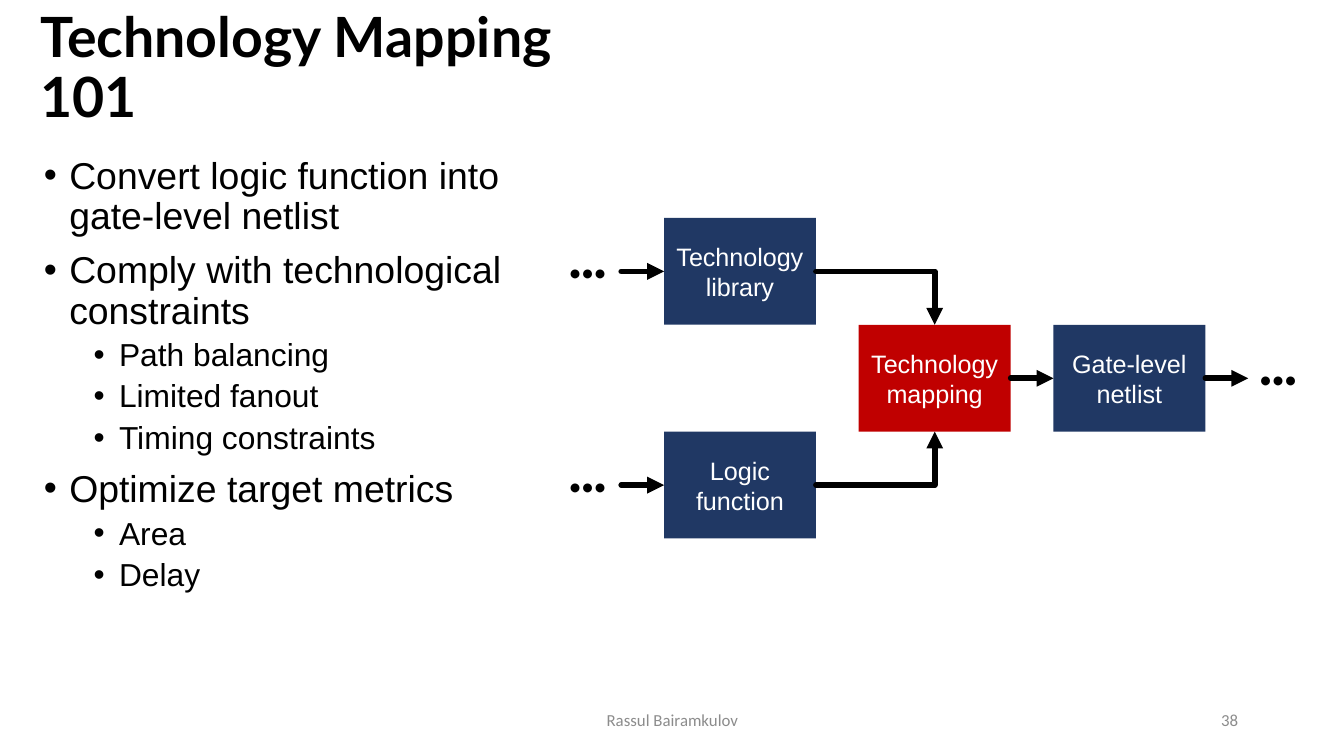
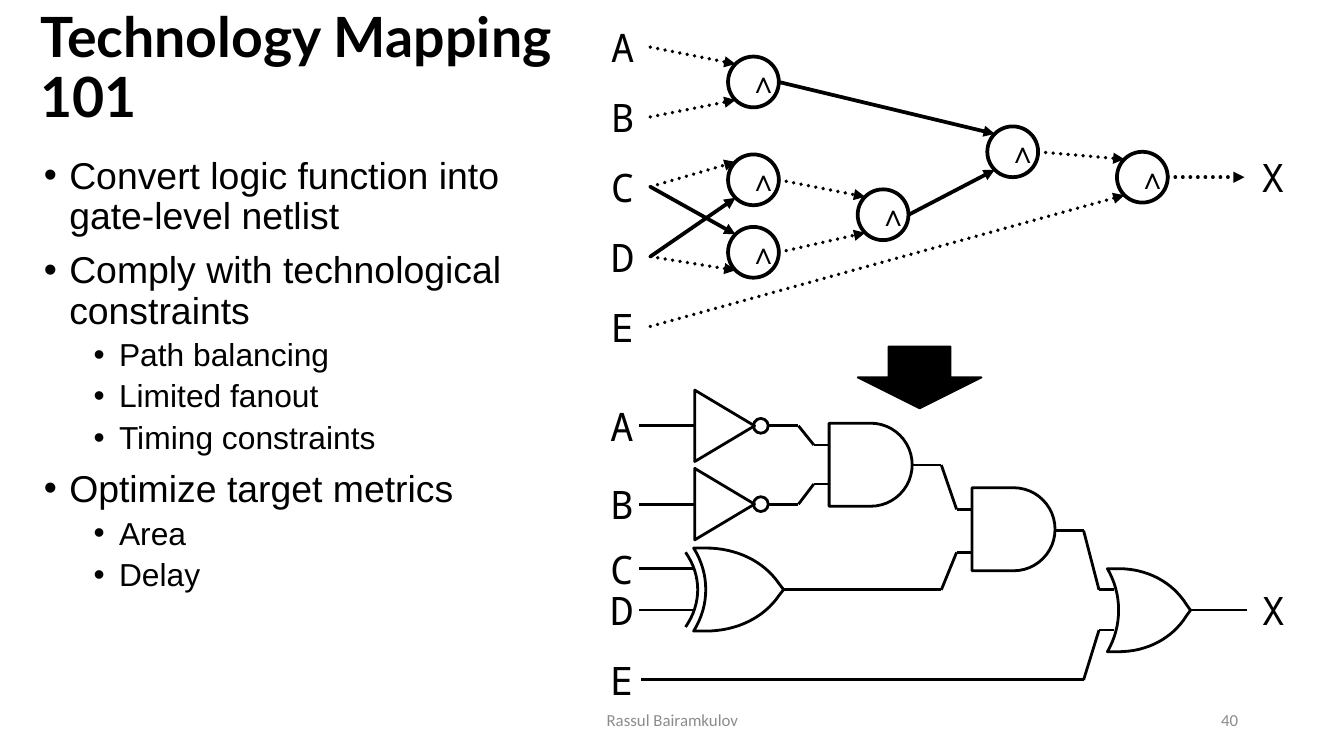
from itertools import pairwise

from lxml.etree import SubElement
from pptx import Presentation
from pptx.dml.color import RGBColor
from pptx.enum.dml import MSO_LINE
from pptx.enum.shapes import MSO_CONNECTOR as CONNECTOR, MSO_SHAPE as SHAPE
from pptx.enum.text import MSO_ANCHOR as ANCHOR, MSO_AUTO_SIZE as AUTO_SIZE, PP_ALIGN as ALIGN
from pptx.oxml.ns import qn
from pptx.util import Cm, Pt

BLACK, WHITE, GREY = "000000", "FFFFFF", "8C8C8C"
NAVY, RED = "203864", "C00000"
MONO = "Noto Sans Mono"
TOP, LEFT, BOTTOM, RIGHT = range(4)

BULLETS = [
    (0, "Convert logic function into gate-level netlist"),
    (0, "Comply with technological constraints"),
    (1, "Path balancing"),
    (1, "Limited fanout"),
    (1, "Timing constraints"),
    (0, "Optimize target metrics"),
    (1, "Area"),
    (1, "Delay"),
]
BULLET_STYLES = [(0.48, 20, 7.5), (1.42, 17, 3.8)]

AND_NODES = [
    ("A and B", 0, 0.84, ("A", True), ("B", True)),
    ("C and D", 0, 2.69, ("C", True), ("D", False)),
    ("C nor D", 0, 4.06, ("C", False), ("D", True)),
    ("C xor D", 1, 3.35, ("C and D", True), ("C nor D", True)),
    ("join", 2, 2.16, ("A and B", False), ("C xor D", False)),
    ("root", 3, 2.64, ("join", True), ("E", True)),
]


def colour(value):
    return RGBColor.from_string(value)


def place(shape, left, top, width, height):
    shape.left, shape.top = Cm(left), Cm(top)
    shape.width, shape.height = Cm(width), Cm(height)


def style_text(frame, text, font, size, text_colour=BLACK, align=ALIGN.CENTER, bold=False):
    frame.text = text
    for paragraph in frame.paragraphs:
        paragraph.alignment = align
        paragraph.font.name = font
        paragraph.font.size = Pt(size)
        paragraph.font.bold = bold
        paragraph.font.color.rgb = colour(text_colour)


def no_insets(frame):
    frame.margin_left = frame.margin_right = frame.margin_top = frame.margin_bottom = 0


def add_label(slide, box, text, font, size, text_colour=BLACK, align=ALIGN.CENTER, wrap=False):
    frame = slide.shapes.add_textbox(*map(Cm, box)).text_frame
    frame.word_wrap = wrap
    frame.vertical_anchor = ANCHOR.MIDDLE
    style_text(frame, text, font, size, text_colour, align)
    return frame


def paint(shape, fill=None, width=None):
    shape.shadow.inherit = False
    if fill:
        shape.fill.solid()
        shape.fill.fore_color.rgb = colour(fill)
    else:
        shape.fill.background()
    if width:
        shape.line.color.rgb = colour(BLACK)
        shape.line.width = Pt(width)
    else:
        shape.line.fill.background()


def add_figure(slide, kind, box, fill=None, width=None):
    shape = slide.shapes.add_shape(kind, *map(Cm, box))
    paint(shape, fill, width)
    return shape


def add_line(slide, start, end, width, arrow=False, dotted=False, kind=CONNECTOR.STRAIGHT):
    connector = slide.shapes.add_connector(kind, *map(Cm, (*start, *end)))
    connector.line.color.rgb = colour(BLACK)
    connector.line.width = Pt(width)
    if dotted:
        connector.line.dash_style = MSO_LINE.ROUND_DOT
    properties = connector._element.spPr
    if arrow:
        outline = properties.find(qn("a:ln"))
        outline.set("cap", "rnd")
        SubElement(outline, qn("a:tailEnd"), type="triangle")
    SubElement(properties, qn("a:effectLst"))
    return connector


def link(slide, source, source_side, target, target_side, bent=False):
    kind = CONNECTOR.ELBOW if bent else CONNECTOR.STRAIGHT
    connector = add_line(slide, (0, 0), (1, 1), 3, arrow=True, kind=kind)
    connector.begin_connect(source, source_side)
    connector.end_connect(target, target_side)
    if bent:
        connector._element.spPr.find(qn("a:prstGeom")).set("prst", "bentConnector2")


def add_bullets(slide, box):
    frame = slide.shapes.add_textbox(*map(Cm, box)).text_frame
    frame.word_wrap = True
    for index, (level, text) in enumerate(BULLETS):
        indent, size, space = BULLET_STYLES[level]
        paragraph = frame.add_paragraph() if index else frame.paragraphs[0]
        paragraph.text = text
        paragraph.level = level
        properties = paragraph._p.get_or_add_pPr()
        properties.set("marL", str(Cm(indent)))
        properties.set("indent", str(-Cm(0.48)))
        SubElement(properties, qn("a:buFont"), typeface="Arial")
        SubElement(properties, qn("a:buChar"), char="•")
        paragraph.line_spacing = 0.9
        paragraph.space_before = Pt(space if index else 0)
        paragraph.font.name = "Arial"
        paragraph.font.size = Pt(size)
        paragraph.font.color.rgb = colour(BLACK)


def add_base_slide(presentation, number):
    slide = presentation.slides.add_slide(presentation.slide_layouts[5])
    title = slide.shapes.title
    place(title, 0.51, 0.56, 10.74, 1.5)
    frame = title.text_frame
    frame.auto_size = AUTO_SIZE.NONE
    frame.word_wrap = True
    frame.vertical_anchor = ANCHOR.MIDDLE
    style_text(frame, "Technology Mapping 101", "Lato", 29.7, align=ALIGN.LEFT, bold=True)
    frame.paragraphs[0].line_spacing = 0.9
    add_bullets(slide, (0.58, 2.84, 9.8, 10.8))
    add_label(slide, (8.41, 13.23, 8.59, 0.76), "Rassul Bairamkulov", "Calibri", 9, GREY, wrap=True)
    add_label(slide, (17.93, 13.23, 5.72, 0.76), number, "Calibri", 9, GREY, ALIGN.RIGHT, True)
    return slide


def add_flow(slide, left, top):
    width, height, gap = 2.87, 2.02, 0.81

    def add_step(column, row, text, fill=NAVY):
        box = left + column * (width + gap), top + row * height, width, height
        shape = add_figure(slide, SHAPE.RECTANGLE, box, fill)
        no_insets(shape.text_frame)
        style_text(shape.text_frame, text, "Arial", 13.5, WHITE)
        return shape

    def add_dots(x, y):
        no_insets(add_label(slide, (x, y - 0.29, 0.71, 0.58), "•••", "Calibri", 13.5))

    library = add_step(0, 0, "Technology library")
    function = add_step(0, 2, "Logic function")
    mapping = add_step(1, 1, "Technology mapping", RED)
    netlist = add_step(2, 1, "Gate-level\nnetlist")
    link(slide, library, RIGHT, mapping, TOP, bent=True)
    link(slide, function, RIGHT, mapping, BOTTOM, bent=True)
    link(slide, mapping, RIGHT, netlist, LEFT)
    for row in (0, 2):
        middle = top + (row + 0.5) * height
        add_line(slide, (left - gap, middle), (left, middle), 3, arrow=True)
        add_dots(left - 1.8, middle)
    right, middle = left + 3 * width + 2 * gap, top + 1.5 * height
    add_line(slide, (right, middle), (right + gap, middle), 3, arrow=True)
    add_dots(right + 1.02, middle)


def add_and_graph(slide, left, top):
    pitch, label_width, diameter, corner = 1.32, 1.04, 0.96, 0.14
    ports = {}
    for index, name in enumerate("ABCDE"):
        y = top + index * pitch
        add_label(slide, (left, y, label_width, pitch), name, MONO, 21)
        ports[name] = left + label_width, y + pitch / 2
    for name, column, offset, upper, lower in AND_NODES:
        x, y = left + 2.51 + 2.45 * column, top + offset
        node = add_figure(slide, SHAPE.OVAL, (x, y, diameter, diameter), WHITE, 2)
        style_text(node.text_frame, "∧", "Arial", 16, bold=True)
        for (source, dotted), inset in ((upper, corner), (lower, diameter - corner)):
            add_line(slide, ports[source], (x + corner, y + inset), 2, True, dotted)
        ports[name] = x + diameter, y + diameter / 2
    x, y = ports["root"]
    add_line(slide, (x, y), (left + 12.27, y), 2, True, True)
    add_label(slide, (left + 12.27, y - 0.68, 1.07, 1.36), "X", MONO, 21)


def curve(start, first, second, end, steps=16):
    points = []
    for step in range(steps + 1):
        t = step / steps
        weights = (1 - t) ** 3, 3 * t * (1 - t) ** 2, 3 * t * t * (1 - t), t ** 3
        points.append(tuple(
            sum(weight * point[axis] for weight, point in zip(weights, (start, first, second, end)))
            for axis in (0, 1)
        ))
    return points


def add_outline(slide, box, points, close):
    left, top, width, height = box
    scaled = [(Cm(left + x * width), Cm(top + y * height)) for x, y in points]
    builder = slide.shapes.build_freeform(*scaled[0])
    builder.add_line_segments(scaled[1:], close=close)
    paint(builder.convert_to_shape(), width=1.5)


def add_or_gate(slide, box, exclusive=False):
    back = curve((0, 0), (0.18, 0.31), (0.18, 0.69), (0, 1))
    upper = curve((0.13, 0), (0.48, 0), (0.78, 0.16), (0.95, 0.43)) + [(1, 0.5)]
    lower = [(x, 1 - y) for x, y in upper]
    add_outline(slide, box, back + lower + upper[::-1], True)
    if exclusive:
        add_outline(slide, box, curve((-0.09, 0.05), (0.09, 0.33), (0.09, 0.67), (-0.09, 0.95)), False)


def add_circuit(slide, left, top):
    gate = 1.57
    rows = {"A": 0.53, "B": 2.01, "C": 3.23, "D": 4.01, "E": 5.33}

    def add_wire(*points):
        for start, end in pairwise((left + x, top + y) for x, y in points):
            add_line(slide, start, end, 1.5)

    def add_step_wire(x, y, end_x, end_y):
        add_wire((x, y), (end_x - 0.58, y), (end_x - 0.29, end_y), (end_x, end_y))

    def add_inverter(y):
        length, side, bubble = 1.13, 1.35, 0.28
        box = left + 1.85 + (length - side) / 2, top + y - length / 2, side, length
        add_figure(slide, SHAPE.ISOSCELES_TRIANGLE, box, width=1.5).rotation = 90
        add_figure(slide, SHAPE.OVAL, (left + 2.96, top + y - bubble / 2, bubble, bubble), width=1.5)

    for name, y in rows.items():
        add_label(slide, (left, top + y - 0.53, 0.84, 1.06), name, MONO, 21)
        if name != "E":
            add_wire((0.8, y), (1.85, y))
    for name, end_y in (("A", 0.89), ("B", 1.63)):
        add_inverter(rows[name])
        add_step_wire(3.24, rows[name], 4.39, end_y)
    for x, y in ((4.39, 0.48), (7.09, 1.7)):
        add_figure(slide, SHAPE.FLOWCHART_DELAY, (left + x, top + y, gate, gate), width=1.5)
    add_or_gate(slide, (left + 1.83, top + 2.84, 1.7, gate), exclusive=True)
    add_or_gate(slide, (left + 9.65, top + 3.23, gate, gate))
    add_step_wire(5.97, 1.27, 7.09, 2.11)
    add_step_wire(3.53, 3.63, 7.09, 2.92)
    add_step_wire(8.68, 2.51, 9.78, 3.63)
    add_step_wire(0.84, rows["E"], 9.78, 4.39)
    add_wire((11.22, 4.01), (12.29, 4.01))
    add_label(slide, (left + 12.24, top + 3.33, 1.09, 1.36), "X", MONO, 21)


def main():
    presentation = Presentation()
    presentation.slide_width, presentation.slide_height = Cm(25.4), Cm(14.29)
    add_flow(add_base_slide(presentation, "38"), 12.55, 4.12)
    slide = add_base_slide(presentation, "40")
    add_and_graph(slide, 11.25, 0.23)
    add_circuit(slide, 11.28, 7.52)
    add_figure(slide, SHAPE.DOWN_ARROW, (16.21, 6.55, 2.34, 1.17), BLACK, 1)
    presentation.save("out.pptx")


if __name__ == "__main__":
    main()
